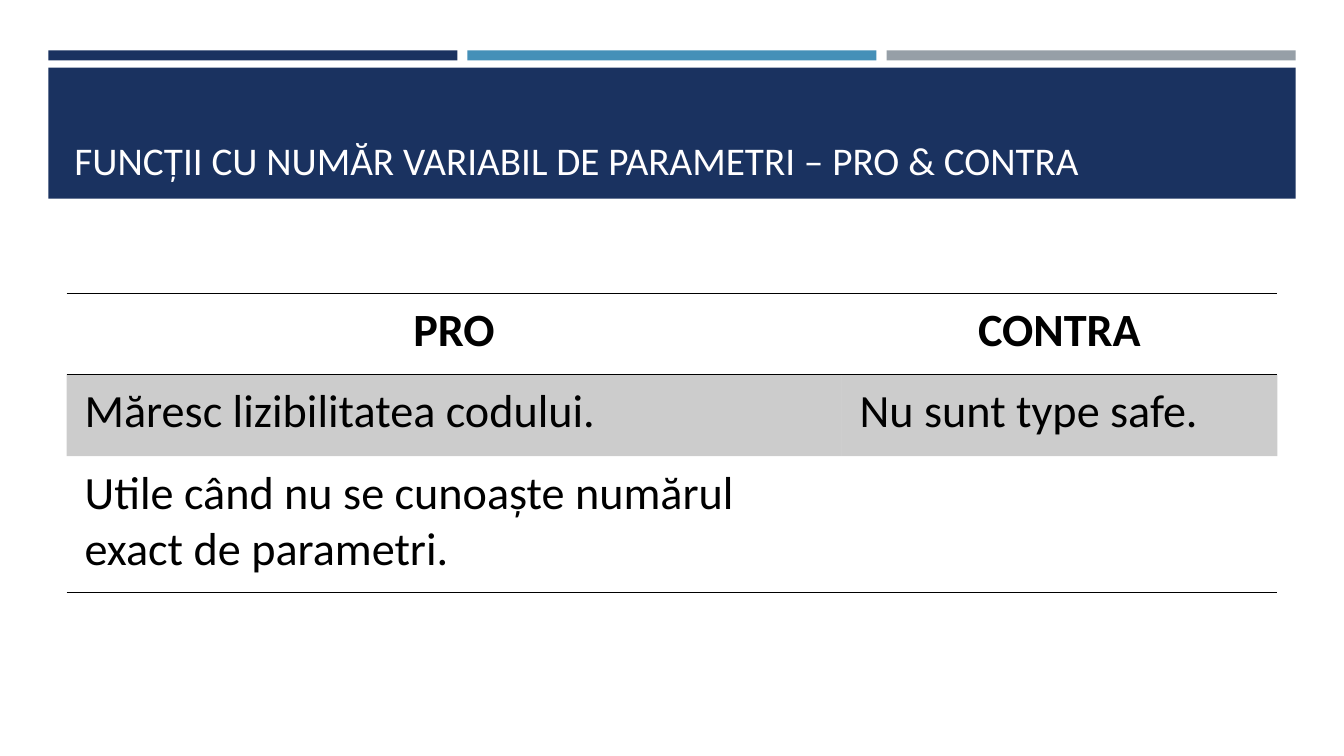
import pptx
import pptx.dml.color
import pptx.enum.shapes
import pptx.enum.text
import pptx.oxml.ns
import pptx.util
from lxml import etree

Inches = pptx.util.Inches
Pt = pptx.util.Pt
RGBColor = pptx.dml.color.RGBColor
Align = pptx.enum.text.PP_ALIGN
Anchor = pptx.enum.text.MSO_ANCHOR
qn = pptx.oxml.ns.qn

NAVY = RGBColor(0x1A, 0x32, 0x60)
BLUE = RGBColor(0x45, 0x90, 0xB8)
GREY = RGBColor(0x96, 0x9F, 0xA7)
WHITE = RGBColor(0xFF, 0xFE, 0xFF)
BLACK = RGBColor(0, 0, 0)
FONT = "Calibri"
NO_STYLE = "{2D5ABB26-0587-4C30-8999-92F81FD0307C}"

TITLE = "FUNCȚII CU NUMĂR VARIABIL DE PARAMETRI – PRO & CONTRA"
ROWS = [
    ("PRO", "CONTRA"),
    ("Măresc lizibilitatea codului.", "Nu sunt type safe."),
    ("Utile când nu se cunoaște numărul exact de parametri.", ""),
]
COLUMN_SHARES = (0.64, 0.36)
ROW_HEIGHTS = (0.81, 0.81, 1.36)
RULED_SIDES = (("lnT", "lnB"), (), ("lnB",))


def add_span(para, text, size, color, bold=False):
    span = para.add_run()
    span.text = text
    span.font.name = FONT
    span.font.size = Pt(size)
    span.font.bold = bold
    span.font.color.rgb = color


def add_bar(page, left, top, width, height, color):
    bar = page.shapes.add_shape(
        pptx.enum.shapes.MSO_SHAPE.RECTANGLE,
        Inches(left), Inches(top), Inches(width), Inches(height))
    bar.shadow.inherit = False
    bar.fill.solid()
    bar.fill.fore_color.rgb = color
    bar.line.fill.background()


def add_header(page, left, top, width, height):
    # Three accent strips over the title band
    gap, strip_height, band_offset = 0.1, 0.1, 0.17
    strip_width = (width - 2 * gap) / 3
    for index, color in enumerate((NAVY, BLUE, GREY)):
        add_bar(page, left + index * (strip_width + gap), top,
                strip_width, strip_height, color)
    band_top, band_height = top + band_offset, height - band_offset
    add_bar(page, left, band_top, width, band_height, NAVY)

    # Title, resting on the lower edge of the band
    pad_x, pad_y = 0.16, 0.1
    box = page.shapes.add_textbox(
        Inches(left + pad_x), Inches(band_top + pad_y),
        Inches(width - 2 * pad_x), Inches(band_height - 2 * pad_y))
    box.text_frame.word_wrap = True
    box.text_frame.vertical_anchor = Anchor.BOTTOM
    add_span(box.text_frame.paragraphs[0], TITLE, 28, WHITE)


def rule_cell(cell, sides):
    properties = cell._tc.get_or_add_tcPr()
    for side in sides:
        line = etree.SubElement(properties, qn("a:" + side), w=str(Pt(1)))
        fill = etree.SubElement(line, qn("a:solidFill"))
        etree.SubElement(fill, qn("a:srgbClr"), val=str(BLACK))


def shade_cell(cell, percent):
    cell.fill.solid()
    cell.fill.fore_color.rgb = BLACK
    color = cell._tc.tcPr.find(qn("a:solidFill")).find(qn("a:srgbClr"))
    etree.SubElement(color, qn("a:alpha"), val=str(percent * 1000))


def add_comparison(page, left, top, width, height):
    frame = page.shapes.add_table(
        len(ROWS), len(COLUMN_SHARES),
        Inches(left), Inches(top), Inches(width), Inches(height))
    table = frame.table
    table.horz_banding = False
    next(frame.element.iter(qn("a:tableStyleId"))).text = NO_STYLE
    for column, share in zip(table.columns, COLUMN_SHARES):
        column.width = Inches(width * share)

    for r, texts in enumerate(ROWS):
        table.rows[r].height = Inches(height * ROW_HEIGHTS[r] / sum(ROW_HEIGHTS))
        for c, text in enumerate(texts):
            cell = table.cell(r, c)
            cell.margin_left = cell.margin_right = Inches(0.18)
            cell.margin_top = cell.margin_bottom = Inches(0.09)
            rule_cell(cell, RULED_SIDES[r])
            if r == 1:
                shade_cell(cell, 20)
            else:
                cell.fill.background()
            if text:
                para = cell.text_frame.paragraphs[0]
                para.alignment = Align.CENTER if r == 0 else Align.LEFT
                add_span(para, text, 33, BLACK, bold=r == 0)


def main():
    deck = pptx.Presentation()
    deck.slide_width = Inches(13.33)
    deck.slide_height = Inches(7.5)
    page = deck.slides.add_slide(deck.slide_layouts[6])
    add_header(page, 0.48, 0.5, 12.37, 1.47)
    add_comparison(page, 0.66, 2.91, 12.01, 2.97)
    deck.save("out.pptx")


if __name__ == "__main__":
    main()
